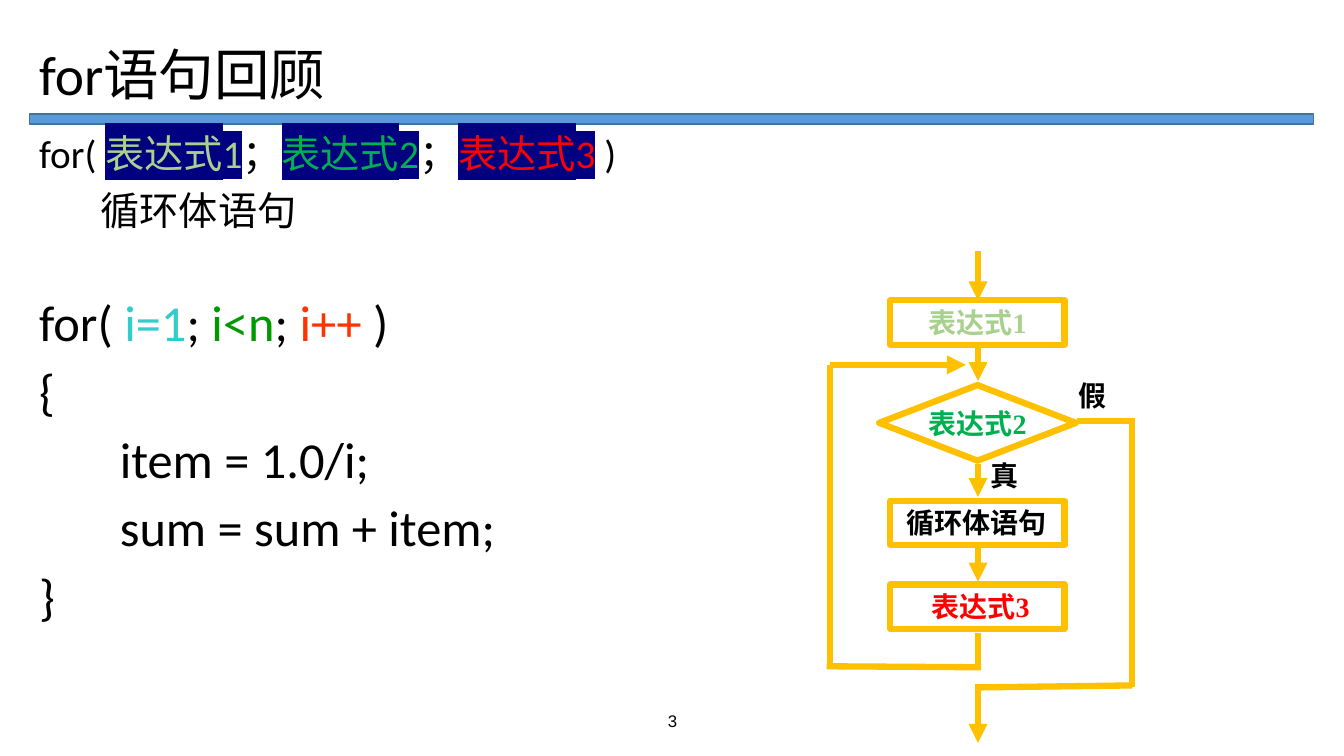
from typing import NamedTuple, Optional

from lxml.etree import SubElement
from pptx import Presentation
from pptx.dml.color import RGBColor
from pptx.enum.shapes import MSO_CONNECTOR as CONN, MSO_SHAPE as SHAPE
from pptx.enum.text import MSO_ANCHOR as ANCHOR, PP_ALIGN as ALIGN
from pptx.oxml.ns import qn
from pptx.util import Inches, Pt

BLACK, NAVY, GOLD = "000000", "000080", "FFC000"
PALE, GREEN, RED = "A9D18E", "00B050", "FF0000"
BODY, FLOW = "Calibri", "Times New Roman"


class Run(NamedTuple):
    text: str
    color: str = BLACK
    highlight: Optional[str] = None


class Line(NamedTuple):
    runs: list[Run]
    size: float
    indent: float = 0
    before: float = 10


class Node(NamedTuple):
    text: str
    top: float
    color: str
    align: ALIGN = ALIGN.CENTER


class Edge(NamedTuple):
    x1: float
    y1: float
    x2: float
    y2: float
    arrow: bool = False


def rgb(color: str) -> RGBColor:
    return RGBColor.from_string(color)


def add_run(p, run: Run, *, size: float, font: str, bold: bool = False) -> None:
    r = p.add_run()
    r.text = run.text
    r.font.size, r.font.name, r.font.bold = Pt(size), font, bold
    r.font.color.rgb = rgb(run.color)
    if run.highlight:
        rpr = r.font._element
        mark = SubElement(rpr, qn("a:highlight"))
        SubElement(mark, qn("a:srgbClr")).set("val", run.highlight)
        rpr.find(qn("a:solidFill")).addnext(mark)


def write(sp, text: str, *, size: float, font: str, color: str = BLACK,
          bold: bool = False, align=ALIGN.LEFT, anchor=ANCHOR.TOP,
          wrap: bool = True, spacing: Optional[float] = None) -> None:
    tf = sp.text_frame
    tf.word_wrap, tf.vertical_anchor = wrap, anchor
    p = tf.paragraphs[0]
    p.alignment, p.line_spacing = align, spacing
    add_run(p, Run(text, color), size=size, font=font, bold=bold)


def add_box(left: float, top: float, width: float, height: float):
    return s.shapes.add_textbox(*map(Inches, (left, top, width, height)))


def add_shape(kind, left: float, top: float, width: float, height: float,
              line: str, weight: float, fill: Optional[str] = None):
    sp = s.shapes.add_shape(kind, *map(Inches, (left, top, width, height)))
    sp.shadow.inherit = False
    if fill:
        sp.fill.solid()
        sp.fill.fore_color.rgb = rgb(fill)
    else:
        sp.fill.background()
    sp.line.color.rgb, sp.line.width = rgb(line), Pt(weight)
    return sp


def add_edge(edge: Edge) -> None:
    c = s.shapes.add_connector(CONN.STRAIGHT, *map(Inches, edge[:4]))
    c.line.color.rgb, c.line.width = rgb(GOLD), Pt(4.5)
    if edge.arrow:
        SubElement(c.line._get_or_add_ln(), qn("a:tailEnd")).set("type", "triangle")
    SubElement(c._element.spPr, qn("a:effectLst"))


prs = Presentation()
prs.slide_width, prs.slide_height = Inches(13.33), Inches(7.5)
s = prs.slides.add_slide(prs.slide_layouts[6])

# Title, rule and page number
add_shape(SHAPE.RECTANGLE, 0.29, 1.13, 12.74, 0.1, "43739E", 1, "5B9BD5")
write(add_box(0.29, 0.4, 12.74, 0.73), "for语句回顾", size=39.6, font=BODY,
      anchor=ANCHOR.MIDDLE, spacing=0.9)
write(add_box(4.42, 6.95, 4.5, 0.4), "3", size=12, font="Arial",
      align=ALIGN.CENTER, anchor=ANCHOR.MIDDLE)

# Syntax and example code
code = [
    Line([Run("for( "), Run("表达式1", PALE, NAVY), Run("；"),
          Run("表达式2", GREEN, NAVY), Run("；"),
          Run("表达式3", RED, NAVY), Run(" )")], 28),
    Line([Run("循环体语句")], 28, indent=0.61),
    Line([Run("for( "), Run("i=1", "33CCCC"), Run("; "), Run("i<n", "009900"),
          Run("; "), Run("i++ ", "FF3300"), Run(")")], 36, before=46),
    Line([Run("{")], 36),
    Line([Run("item = 1.0/i;")], 36, indent=0.8),
    Line([Run("sum = sum + item;")], 36, indent=0.8),
    Line([Run("}")], 36),
]
tf = add_box(0.29, 1.29, 12.74, 5.46).text_frame
tf.word_wrap = True
for i, line in enumerate(code):
    p = tf.add_paragraph() if i else tf.paragraphs[0]
    p.line_spacing, p.space_before = 0.9, Pt(line.before)
    p._p.get_or_add_pPr().set("marL", str(Inches(line.indent)))
    for run in line.runs:
        add_run(p, run, size=line.size, font=BODY)

# Flowchart edges
MID, LOOP, EXIT = 9.7, 8.23, 11.23
down = [(2.49, 2.98), (3.45, 3.78), (4.6, 4.93), (5.44, 5.77), (6.79, 7.37)]
edges = [Edge(MID, y1, MID, y2, True) for y1, y2 in down] + [
    # Back to the condition
    Edge(MID, 6.28, MID, 6.62),
    Edge(8.2, 6.61, 9.73, 6.62),
    Edge(LOOP, 3.62, LOOP, 6.62),
    Edge(LOOP, 3.62, 9.58, 3.62, True),
    # Out of the loop
    Edge(10.68, 4.18, 11.21, 4.18),
    Edge(EXIT, 4.15, EXIT, 6.82),
    Edge(9.69, 6.82, EXIT, 6.8),
]
for edge in edges:
    add_edge(edge)

# Flowchart steps
nodes = [
    Node("表达式1", 2.98, PALE),
    Node(" 循环体语句", 4.97, BLACK, ALIGN.LEFT),
    Node(" 表达式3", 5.8, RED),
]
for node in nodes:
    sp = add_shape(SHAPE.RECTANGLE, 8.83, node.top, 1.73, 0.44, GOLD, 4.5)
    write(sp, node.text, size=20, font=FLOW, color=node.color, bold=True,
          align=node.align)

# Condition and its branch labels
sp = add_shape(SHAPE.DIAMOND, 8.72, 3.82, 1.95, 0.75, GOLD, 4.5)
sp.text_frame.margin_left = sp.text_frame.margin_right = 0
write(sp, "表达式2", size=20, font=FLOW, color=GREEN, bold=True,
      anchor=ANCHOR.MIDDLE, wrap=False)
for text, left, top, width in [("真", 9.73, 4.5, 0.54), ("假", 10.6, 3.71, 0.47)]:
    write(add_box(left, top, width, 0.43), text, size=20, font=FLOW, bold=True)

prs.save("out.pptx")
